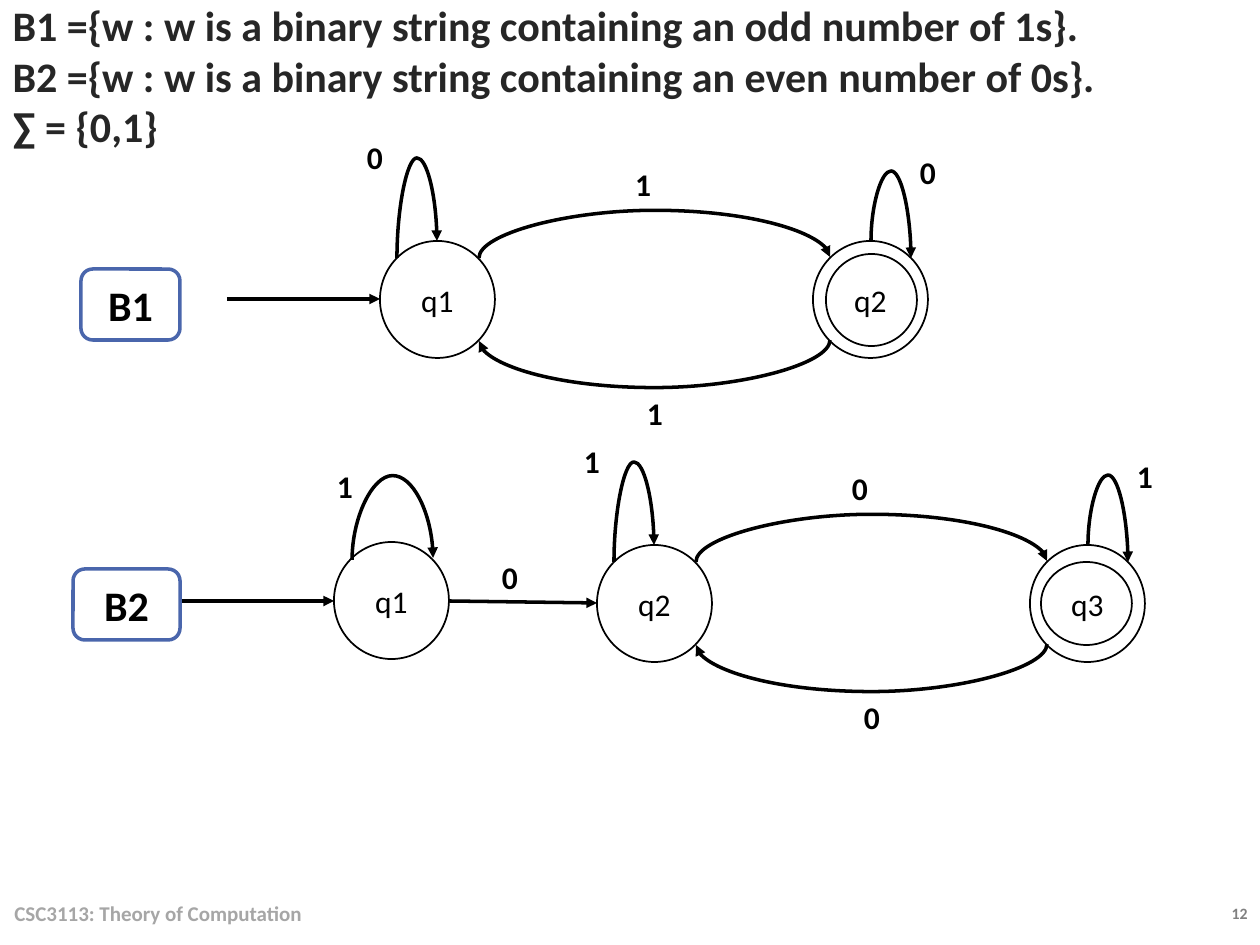
from lxml.etree import SubElement
from pptx import Presentation
from pptx.dml.color import RGBColor
from pptx.enum.shapes import MSO_CONNECTOR as Link, MSO_SHAPE as Preset
from pptx.enum.text import MSO_ANCHOR as Anchor, MSO_AUTO_SIZE as AutoSize, PP_ALIGN as Align
from pptx.oxml.ns import qn
from pptx.util import Emu, Pt

SCALE = 914400 / 126
FONT = "Calibri"
BLACK = RGBColor(0x00, 0x00, 0x00)
WHITE = RGBColor(0xFF, 0xFF, 0xFF)
BLUE = RGBColor(0x4A, 0x66, 0xAC)
INK = RGBColor(0x26, 0x26, 0x26)
FOOTER_GRAY = RGBColor(0xA6, 0xA6, 0xA6)
NUMBER_GRAY = RGBColor(0x80, 0x80, 0x80)

NODE_WIDTH, NODE_HEIGHT = 115, 117
RIGHT_NODE = 433
DEFINITIONS = (
    "B1 ={w : w is a binary string containing an odd number of 1s}.",
    "B2 ={w : w is a binary string containing an even number of 0s}.",
    "∑ = {0,1}",
)


def px(length):
    return Emu(round(length * SCALE))


def add_span(para, text, size, color=BLACK, bold=True):
    span = para.add_run()
    span.text = text
    span.font.name = FONT
    span.font.size = Pt(size)
    span.font.bold = bold
    span.font.color.rgb = color


def add_definitions(page):
    title, body = page.placeholders
    title.element.getparent().remove(title.element)
    body.left, body.top, body.width, body.height = map(px, (0, 0, 1147, 151))
    frame = body.text_frame
    frame.auto_size = AutoSize.NONE
    frame.vertical_anchor = Anchor.MIDDLE
    for index, text in enumerate(DEFINITIONS):
        para = frame.add_paragraph() if index else frame.paragraphs[0]
        props = para._p.get_or_add_pPr()
        props.set("marL", "0")
        props.set("indent", "0")
        SubElement(props, qn("a:buNone"))
        para.space_before = Pt(0)
        add_span(para, text, 24, INK)


def add_text(page, bounds, text, size, color, align, anchor):
    box = page.shapes.add_textbox(*map(px, bounds))
    frame = box.text_frame
    frame.word_wrap = True
    frame.vertical_anchor = anchor
    para = frame.paragraphs[0]
    para.alignment = align
    add_span(para, text, size, color)


def add_outline(page, preset, bounds, line, weight, fill=None):
    shape = page.shapes.add_shape(preset, *map(px, bounds))
    shape.shadow.inherit = False
    if fill is None:
        shape.fill.background()
    else:
        shape.fill.solid()
        shape.fill.fore_color.rgb = fill
    shape.line.color.rgb = line
    shape.line.width = Pt(weight)
    return shape


def center_text(shape, text, size, bold=True):
    shape.text_frame.vertical_anchor = Anchor.MIDDLE
    para = shape.text_frame.paragraphs[0]
    para.alignment = Align.CENTER
    add_span(para, text, size, bold=bold)


def add_badge(page, bounds, text):
    badge = add_outline(page, Preset.ROUNDED_RECTANGLE, bounds, BLUE, 2, WHITE)
    center_text(badge, text, 24)


def add_symbol(page, x, y, text):
    symbol = add_outline(page, Preset.ROUNDED_RECTANGLE, (x, y, 82, 52), WHITE, 2, WHITE)
    center_text(symbol, text, 18)


def add_state(page, x, y, name):
    state = add_outline(page, Preset.OVAL, (x, y, NODE_WIDTH, NODE_HEIGHT), BLACK, 1)
    center_text(state, name, 18, bold=False)


def style_arrow(arrow):
    arrow.line.color.rgb = BLACK
    arrow.line.width = Pt(2)
    SubElement(arrow.line._get_or_add_ln(), qn("a:tailEnd"), type="triangle")
    SubElement(arrow._element.spPr, qn("a:effectLst"))


def add_arrow(page, start, end):
    style_arrow(page.shapes.add_connector(Link.STRAIGHT, *map(px, start + end)))


def add_arc(page, start, end, peak):
    (x1, y1), (x2, y2) = start, end
    width, height = abs(y2 - y1), abs(x2 - x1)
    left, top = (x1 + x2 - width) / 2, (y1 + y2 - height) / 2
    arc = page.shapes.add_connector(
        Link.CURVE, px(left), px(top), px(left + width), px(top + height))
    rightward, downward = x2 > x1, y2 > y1
    turn = 270 if rightward and downward else 90
    xfrm = arc._element.spPr.find(qn("a:xfrm"))
    xfrm.set("rot", str(turn * 60000))
    if rightward:
        xfrm.set("flipH", "1")
    if rightward and not downward:
        xfrm.set("flipV", "1")
    geometry = arc._element.spPr.find(qn("a:prstGeom"))
    values = geometry.find(qn("a:avLst"))
    bend = round((peak - y1) / (y2 - y1) * 100000)
    SubElement(values, qn("a:gd"), name="adj1", fmla=f"val {bend}")
    style_arrow(arc)


def add_state_pair(page, x, y, names, loop, swap, inner):
    symbols = ((-46, -110, loop), (222, -83, swap), (234, 146, swap), (507, -95, loop))
    for dx, dy, text in symbols:
        add_symbol(page, x + dx, y + dy, text)
    for index, name in enumerate(names):
        add_state(page, x + index * RIGHT_NODE, y, name)
    dx, dy, width, height = inner
    bounds = (x + RIGHT_NODE + dx, y + dy, width, height)
    add_outline(page, Preset.OVAL, bounds, BLACK, 1)
    arcs = (
        ((99, 17), (450, 16), -31),
        ((450, 99), (99, 100), 147),
        ((17, 17), (57, 0), -83),
        ((491, 0), (531, 17), -70),
    )
    for (x1, y1), (x2, y2), peak in arcs:
        add_arc(page, (x + x1, y + y1), (x + x2, y + y2), y + peak)


def add_odd_ones(page):
    add_state_pair(page, 380, 241, ("q1", "q2"), "0", "1", (13, 13, 91, 92))
    add_arrow(page, (227, 299), (380, 299))
    add_badge(page, (81, 269, 99, 71), "B1")


def add_even_zeros(page):
    add_symbol(page, 304, 460, "1")
    add_symbol(page, 469, 551, "0")
    add_state_pair(page, 597, 545, ("q2", "q3"), "1", "0", (11, 17, 91, 83))
    add_state(page, 334, 542, "q1")
    add_arrow(page, (181, 601), (334, 601))
    add_arrow(page, (449, 601), (597, 603))
    add_arc(page, (352, 560), (433, 558), 475)
    add_badge(page, (73, 569, 107, 71), "B2")


def main():
    deck = Presentation()
    deck.slide_width, deck.slide_height = px(1260), px(945)
    page = deck.slides.add_slide(deck.slide_layouts[1])
    add_definitions(page)
    add_odd_ones(page)
    add_even_zeros(page)
    add_text(page, (2, 888, 844, 51), "CSC3113: Theory of Computation",
             12, FOOTER_GRAY, Align.LEFT, Anchor.MIDDLE)
    add_text(page, (1100, 898, 160, 32), "12", 9, NUMBER_GRAY, Align.RIGHT, Anchor.TOP)
    deck.save("out.pptx")


if __name__ == "__main__":
    main()
